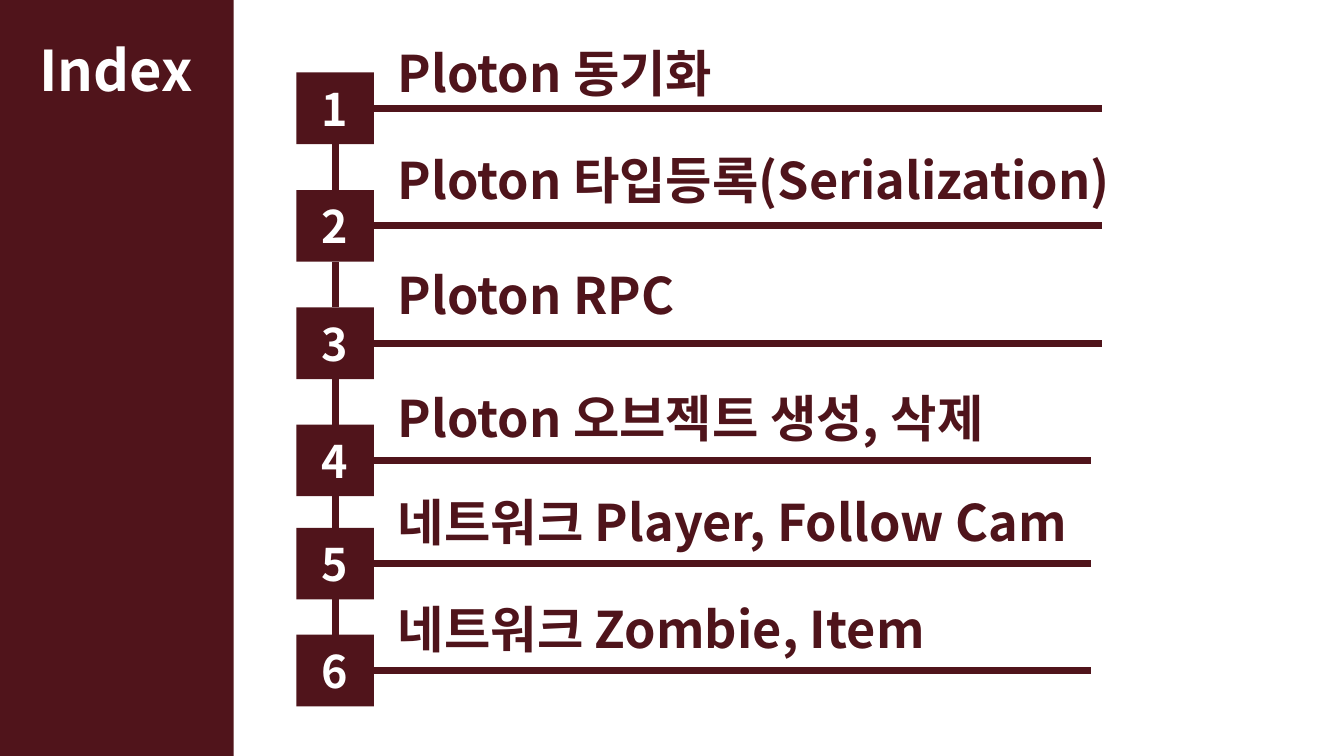
from dataclasses import dataclass
from itertools import pairwise

from lxml.etree import SubElement
from pptx import Presentation
from pptx.dml.color import RGBColor
from pptx.enum.shapes import MSO_CONNECTOR, MSO_SHAPE
from pptx.enum.text import MSO_ANCHOR, MSO_AUTO_SIZE, PP_ALIGN
from pptx.oxml.ns import qn
from pptx.util import Pt


@dataclass(frozen=True)
class Theme:
    """Colours, font and type sizes of the slide."""
    maroon: RGBColor = RGBColor(0x50, 0x14, 0x1B)
    topic: RGBColor = RGBColor(0x4F, 0x14, 0x1B)
    white: RGBColor = RGBColor(0xFF, 0xFF, 0xFF)
    font: str = "Noto Sans CJK KR"
    title_size: int = 40
    topic_size: int = 36
    number_size: int = 32
    line_width: int = 5


THEME = Theme()
BOX_LEFT, BOX_WIDTH, BOX_HEIGHT = 211.7, 55.4, 51.2
TOPIC_LEFT, TOPIC_WIDTH, TOPIC_HEIGHT = 277.2, 635, 51.1
TOPICS = [
    ("Ploton 동기화", 26.6, 51.8, 787),
    ("Ploton 타입등록(Serialization)", 103, 135.8, 787),
    ("Ploton RPC", 185, 219.6, 787),
    ("Ploton 오브젝트 생성, 삭제", 272.9, 303.3, 779),
    ("네트워크 Player, Follow Cam", 347, 377, 779),
    ("네트워크 Zombie, Item", 423.4, 453.4, 779),
]


def set_format(target, values):
    """Set each named attribute of the target."""
    for name, value in values.items():
        setattr(target, name, value)


def write_text(shape, text, size, color, alignment, frame_format):
    """Write one bold paragraph into a shape."""
    frame = shape.text_frame
    set_format(frame, {"word_wrap": True, **frame_format})
    paragraph = frame.paragraphs[0]
    paragraph.alignment = alignment
    run = paragraph.add_run()
    run.text = text
    set_format(run.font, {"name": THEME.font, "size": Pt(size), "bold": True})
    run.font.color.rgb = color
    east_asian = SubElement(run.font._element, qn("a:ea"))
    east_asian.set("typeface", THEME.font)


def add_rectangle(slide, left, top, width, height):
    """Add a plain maroon rectangle."""
    shape = slide.shapes.add_shape(
        MSO_SHAPE.RECTANGLE, Pt(left), Pt(top), Pt(width), Pt(height))
    shape.shadow.inherit = False
    shape.fill.solid()
    shape.fill.fore_color.rgb = THEME.maroon
    shape.line.fill.background()
    return shape


def add_line(slide, start_box, side, end_x, end_y):
    """Add a thick line that starts at a side of a box."""
    line = slide.shapes.add_connector(
        MSO_CONNECTOR.STRAIGHT, 0, 0, end_x, end_y)
    line.begin_connect(start_box, side)
    line.line.color.rgb = THEME.maroon
    line.line.width = Pt(THEME.line_width)
    SubElement(line._element.spPr, qn("a:effectLst"))
    return line


def format_title(slide, text):
    """Place and write the title in the side band."""
    title = slide.shapes.title
    set_format(title, {"left": Pt(20.9), "top": Pt(21.6),
                       "width": Pt(132.5), "height": Pt(55.4)})
    write_text(title, text, THEME.title_size, THEME.white, PP_ALIGN.LEFT,
               {"vertical_anchor": MSO_ANCHOR.TOP,
                "auto_size": MSO_AUTO_SIZE.SHAPE_TO_FIT_TEXT})
    slide.shapes._spTree.append(title._element)


def add_number_box(slide, number, top):
    """Add a numbered box."""
    box = add_rectangle(slide, BOX_LEFT, top, BOX_WIDTH, BOX_HEIGHT)
    write_text(box, str(number), THEME.number_size, THEME.white,
               PP_ALIGN.CENTER, {"vertical_anchor": MSO_ANCHOR.MIDDLE})
    return box


def add_topic(slide, text, top):
    """Add the text of one topic."""
    box = slide.shapes.add_textbox(
        Pt(TOPIC_LEFT), Pt(top), Pt(TOPIC_WIDTH), Pt(TOPIC_HEIGHT))
    write_text(box, text, THEME.topic_size, THEME.topic, PP_ALIGN.LEFT,
               {"auto_size": MSO_AUTO_SIZE.SHAPE_TO_FIT_TEXT})


def main():
    """Build the index slide."""
    presentation = Presentation()
    set_format(presentation, {"slide_width": Pt(960), "slide_height": Pt(540)})
    slide = presentation.slides.add_slide(presentation.slide_layouts[5])
    add_rectangle(slide, 0, 0, 167, 540)
    format_title(slide, "Index")
    boxes = []
    for number, (text, text_top, box_top, line_end) in enumerate(TOPICS, 1):
        box = add_number_box(slide, number, box_top)
        add_line(slide, box, 3, Pt(line_end), box.top + box.height // 2)
        add_topic(slide, text, text_top)
        boxes.append(box)
    for upper, lower in pairwise(boxes):
        add_line(slide, upper, 2, 0, 0).end_connect(lower, 0)
    presentation.save("out.pptx")


if __name__ == "__main__":
    main()
